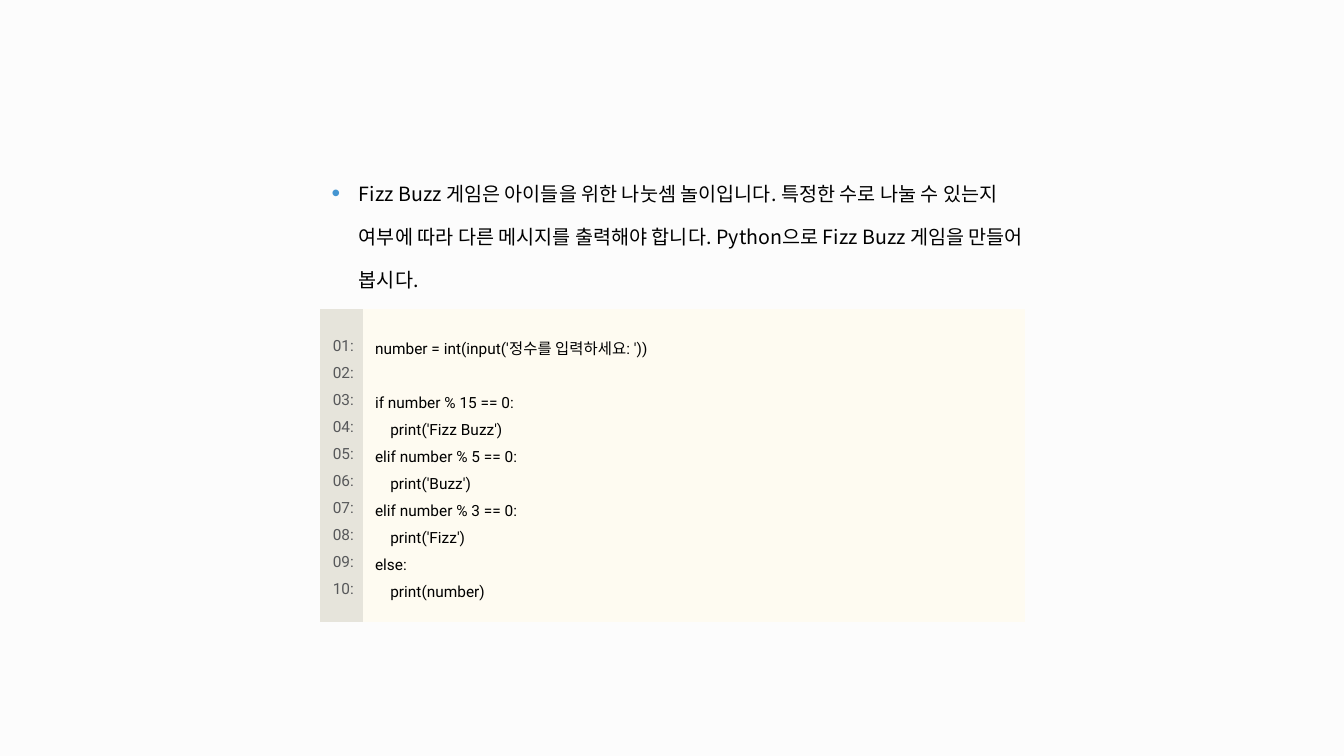
from dataclasses import dataclass

from lxml import etree
from pptx import Presentation
from pptx.dml.color import RGBColor
from pptx.enum.text import MSO_ANCHOR, PP_ALIGN
from pptx.oxml.ns import qn
from pptx.util import Inches, Pt

LEFT, CENTER = PP_ALIGN.LEFT, PP_ALIGN.CENTER
MIDDLE = MSO_ANCHOR.MIDDLE
NO_STYLE_NO_GRID = "{2D5ABB26-0587-4C30-8999-92F81FD0307C}"


@dataclass(frozen=True)
class Theme:
    background: str = "FCFCFC"
    text: str = "000000"
    line_number: str = "57585A"
    gutter: str = "E6E4DB"
    code_panel: str = "FEFBF1"
    bullet: str = "4495D1"
    korean_font: str = "Noto Sans CJK KR"
    code_font: str = "Roboto"
    task_size: int = 14
    code_size: int = 11
    line_spacing: float = 1.5


theme = Theme()

TASK = (
    "Fizz Buzz 게임은 아이들을 위한 나눗셈 놀이입니다. 특정한 수로 나눌 수 있는지 "
    "여부에 따라 다른 메시지를 출력해야 합니다. Python으로 Fizz Buzz 게임을 만들어 봅시다."
)
CODE = """\
number = int(input('정수를 입력하세요: '))

if number % 15 == 0:
    print('Fizz Buzz')
elif number % 5 == 0:
    print('Buzz')
elif number % 3 == 0:
    print('Fizz')
else:
    print(number)""".split("\n")
LINE_NUMBERS = [f"{number:02}:" for number in range(1, len(CODE) + 1)]


def fill_cell(cell, lines, margins, font, size, color, alignment=LEFT):
    """Write one paragraph per line; margins are left, top, right, bottom in inches."""
    cell.vertical_anchor = MIDDLE
    cell.margin_left, cell.margin_top, cell.margin_right, cell.margin_bottom = map(Inches, margins)
    text_frame = cell.text_frame
    for index, line in enumerate(lines):
        paragraph = text_frame.add_paragraph() if index else text_frame.paragraphs[0]
        paragraph.alignment = alignment
        paragraph.line_spacing = theme.line_spacing
        if not line:
            # An empty code line keeps its height through its end mark
            end_mark = etree.SubElement(paragraph._p, qn("a:endParaRPr"), sz=str(size * 100))
            etree.SubElement(end_mark, qn("a:latin"), typeface=font)
            continue
        run = paragraph.add_run()
        run.text = line
        run.font.name = font
        run.font.size = Pt(size)
        run.font.color.rgb = RGBColor.from_string(color)
        latin = run.font._element.find(qn("a:latin"))
        east_asian = etree.Element(qn("a:ea"), typeface=theme.korean_font)
        latin.addnext(east_asian)


presentation = Presentation()
presentation.slide_width = Inches(13.33)
presentation.slide_height = Inches(7.5)
slide = presentation.slides.add_slide(presentation.slide_layouts[6])
slide.background.fill.solid()
slide.background.fill.fore_color.rgb = RGBColor.from_string(theme.background)

# Table: the task on top, line numbers and code below
table = slide.shapes.add_table(
    2, 2, Inches(3.17), Inches(1.59), Inches(7), Inches(4.57)
).table
table.first_row = False
table.horz_banding = False
table._tbl.tblPr.find(qn("a:tableStyleId")).text = NO_STYLE_NO_GRID
for column, width in zip(table.columns, (0.43, 6.57)):
    column.width = Inches(width)
for row, height in zip(table.rows, (1.47, 3.1)):
    row.height = Inches(height)

task_cell, gutter_cell, code_cell = table.cell(0, 0), table.cell(1, 0), table.cell(1, 1)
task_cell.merge(table.cell(0, 1))
task_cell.fill.background()
for cell, color in ((gutter_cell, theme.gutter), (code_cell, theme.code_panel)):
    cell.fill.solid()
    cell.fill.fore_color.rgb = RGBColor.from_string(color)

fill_cell(task_cell, [TASK], (0.12, 0.04, 0, 0.16),
          theme.korean_font, theme.task_size, theme.text)
fill_cell(gutter_cell, LINE_NUMBERS, (0.04, 0.04, 0, 0.08),
          theme.code_font, theme.code_size, theme.line_number, CENTER)
fill_cell(code_cell, CODE, (0.12, 0.16, 0, 0.2),
          theme.code_font, theme.code_size, theme.text)

# Bullet of the task paragraph
properties = task_cell.text_frame.paragraphs[0]._p.get_or_add_pPr()
properties.set("marL", str(Inches(0.27)))
properties.set("indent", str(Inches(-0.27)))
bullet_color = etree.SubElement(properties, qn("a:buClr"))
etree.SubElement(bullet_color, qn("a:srgbClr"), val=theme.bullet)
etree.SubElement(properties, qn("a:buSzPct"), val="125000")
etree.SubElement(properties, qn("a:buFont"), typeface="Arial")
etree.SubElement(properties, qn("a:buChar"), char="•")

presentation.save("out.pptx")
